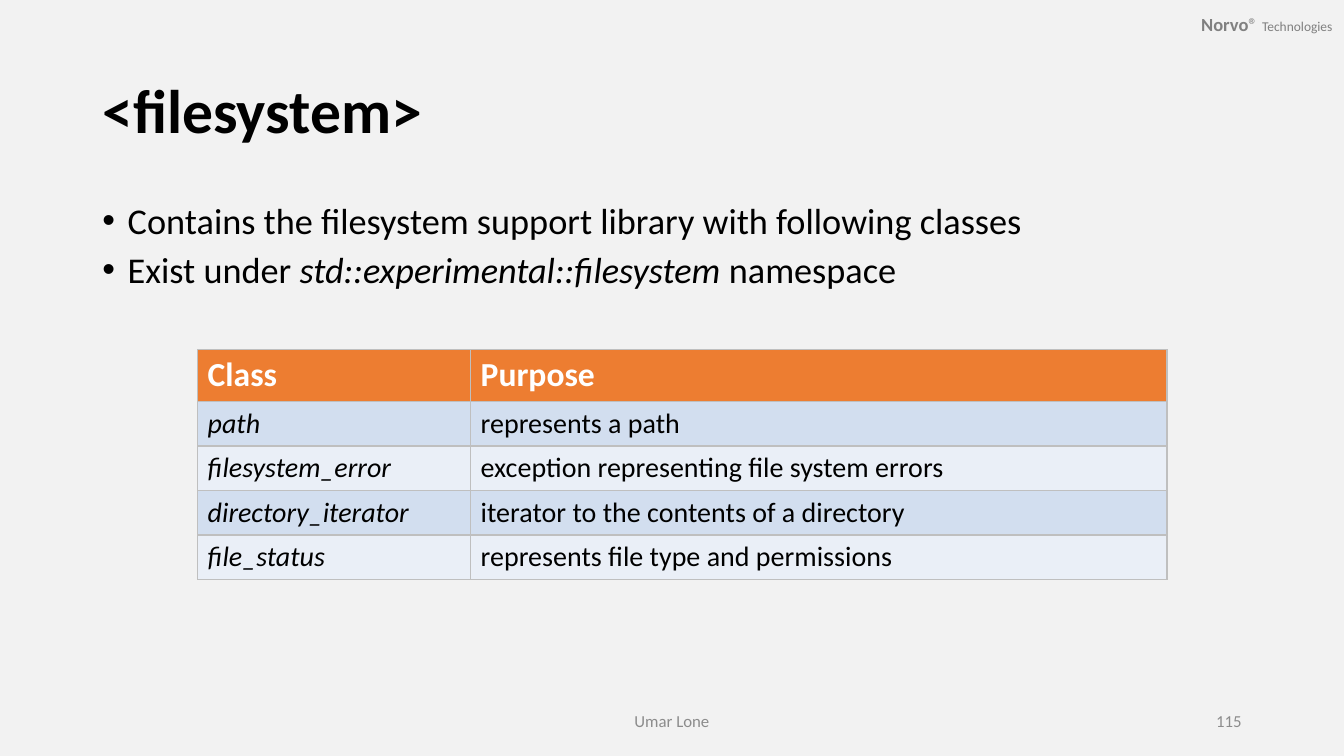
from lxml import etree
from pptx import Presentation
from pptx.dml.color import RGBColor
from pptx.enum import text as t
from pptx.oxml import parse_xml
from pptx.oxml.ns import nsdecls, qn
from pptx.util import Cm, Pt

# Runs are (text, format) pairs.
BRAND = [("Norvo", {"bold": True}), ("® ", {}), ("Technologies", {"size": 9.6})]
TITLE = [("<filesystem>", {"bold": True})]
BODY = [
    [("Contains the filesystem support library with following classes", {})],
    [("Exist under ", {}),
     ("std::experimental::filesystem ", {"italic": True}),
     ("namespace", {})],
]
HEAD = ("Class", "Purpose")
ROWS = [
    ("path", "represents a path"),
    ("filesystem_error", "exception representing file system errors"),
    ("directory_iterator", "iterator to the contents of a directory"),
    ("file_status", "represents file type and permissions"),
]
AUTHOR = [("Umar Lone", {})]
NUMBER = [("115", {})]

FONT = "Calibri"
PAPER = RGBColor(0xF2, 0xF2, 0xF2)
BLACK = RGBColor(0, 0, 0)
WHITE = RGBColor(0xFF, 0xFF, 0xFF)
GRAY = RGBColor(0x80, 0x80, 0x80)
FOOT = RGBColor(0x8C, 0x8C, 0x8C)
ORANGE = RGBColor(0xED, 0x7D, 0x31)
BANDS = (RGBColor(0xD2, 0xDE, 0xEF), RGBColor(0xEA, 0xEF, 0xF7))
EDGE = RGBColor(0xBF, 0xBF, 0xBF)

LEFT, WIDE = 2.33, 29.21
COLS = (6.88, 17.55)
HEAD_H, ROW_H = 1.31, 1.12
FOOT_Y, FOOT_H = 17.65, 1.02


def write(par, runs, size=12, color=BLACK, align=t.PP_ALIGN.LEFT, line=None):
    par.alignment = align
    if line:
        par.line_spacing = line
    for words, form in runs:
        run = par.add_run()
        run.text = words
        font = run.font
        font.name = FONT
        font.size = Pt(form.get("size", size))
        font.bold = form.get("bold", False)
        font.italic = form.get("italic", False)
        font.color.rgb = color


def add_box(slide, x, y, w, h, anchor=t.MSO_ANCHOR.MIDDLE):
    frame = slide.shapes.add_textbox(Cm(x), Cm(y), Cm(w), Cm(h)).text_frame
    frame.word_wrap = True
    frame.vertical_anchor = anchor
    return frame


def add_bullet(par):
    props = par._p.get_or_add_pPr()
    props.set("marL", str(Cm(0.64)))
    props.set("indent", str(-Cm(0.64)))
    etree.SubElement(props, qn("a:buFont"), typeface="Arial")
    etree.SubElement(props, qn("a:buChar"), char="•")


def add_glow(run):
    """Put a soft drop shadow under the letters of a run."""
    fill = run._r.rPr.find(qn("a:solidFill"))
    fill.addnext(parse_xml(
        f'<a:effectLst {nsdecls("a")}><a:outerShdw blurRad="38100" dist="38100" '
        'dir="2700000" algn="tl"><a:srgbClr val="000000"><a:alpha val="43000"/>'
        '</a:srgbClr></a:outerShdw></a:effectLst>'))


def paint(cell, fill):
    props = cell._tc.get_or_add_tcPr()
    for side in "LRTB":
        props.append(parse_xml(
            f'<a:ln{side} {nsdecls("a")} w="{Pt(1)}"><a:solidFill>'
            f'<a:srgbClr val="{EDGE}"/></a:solidFill></a:ln{side}>'))
    cell.fill.solid()
    cell.fill.fore_color.rgb = fill


def add_grid(slide):
    high = HEAD_H + ROW_H * len(ROWS)
    grid = slide.shapes.add_table(len(ROWS) + 1, len(COLS), Cm(4.98), Cm(8.81),
                                  Cm(sum(COLS)), Cm(high)).table
    for col, w in zip(grid.columns, COLS):
        col.width = Cm(w)
    for r, row in enumerate([HEAD] + ROWS):
        top = r == 0
        grid.rows[r].height = Cm(HEAD_H if top else ROW_H)
        for c, words in enumerate(row):
            cell = grid.cell(r, c)
            paint(cell, ORANGE if top else BANDS[(r - 1) % 2])
            form = {"bold": top, "italic": not top and c == 0}
            write(cell.text_frame.paragraphs[0], [(words, form)],
                  size=24 if top else 20, color=WHITE if top else BLACK)


def main():
    deck = Presentation()
    deck.slide_width, deck.slide_height = Cm(33.87), Cm(19.05)
    slide = deck.slides.add_slide(deck.slide_layouts[6])
    slide.background.fill.solid()
    slide.background.fill.fore_color.rgb = PAPER

    brand = add_box(slide, 28.98, 0.03, 4.9, 1.14)
    brand.margin_left = brand.margin_right = Cm(0.3)
    brand.margin_top = brand.margin_bottom = Cm(0.15)
    write(brand.paragraphs[0], BRAND, size=13.2, color=GRAY, align=t.PP_ALIGN.RIGHT)
    for run in brand.paragraphs[0].runs:
        add_glow(run)

    title = add_box(slide, LEFT, 1.01, WIDE, 3.68)
    write(title.paragraphs[0], TITLE, size=44, line=0.9)

    body = add_box(slide, LEFT, 5.08, WIDE, 2.41, t.MSO_ANCHOR.TOP)
    for i, runs in enumerate(BODY):
        par = body.add_paragraph() if i else body.paragraphs[0]
        write(par, runs, size=25.9, line=0.8)
        par.space_before = Pt(10)
        add_bullet(par)

    add_grid(slide)

    for x, w, runs, align in ((11.22, 11.43, AUTHOR, t.PP_ALIGN.CENTER),
                              (23.92, 7.62, NUMBER, t.PP_ALIGN.RIGHT)):
        foot = add_box(slide, x, FOOT_Y, w, FOOT_H)
        write(foot.paragraphs[0], runs, color=FOOT, align=align)

    deck.save("out.pptx")


if __name__ == "__main__":
    main()
